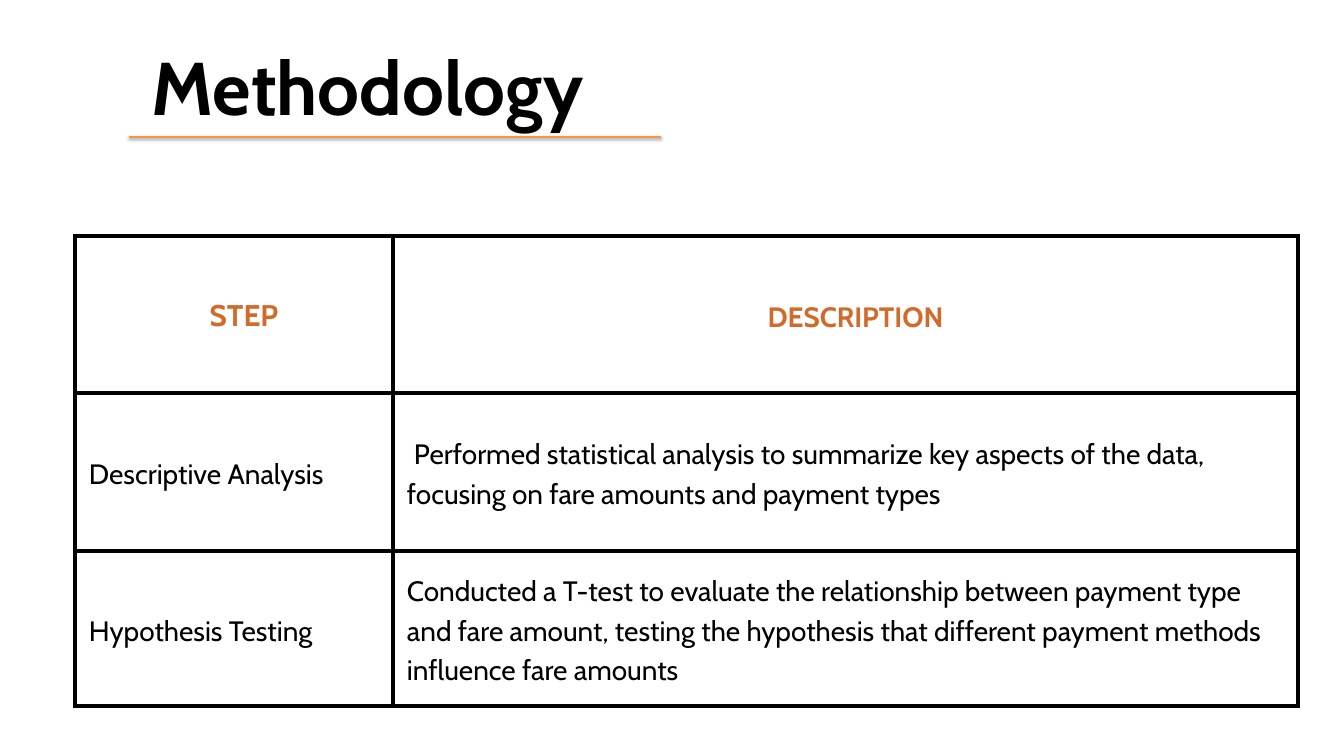
from lxml.etree import SubElement
from pptx import Presentation
from pptx.dml.color import RGBColor
from pptx.enum.shapes import MSO_CONNECTOR as Connector
from pptx.enum.text import MSO_ANCHOR as Anchor, MSO_AUTO_SIZE as AutoSize, PP_ALIGN as Align
from pptx.oxml import parse_xml
from pptx.oxml.ns import nsdecls, qn
from pptx.util import Emu, Pt

BLACK = RGBColor(0x00, 0x00, 0x00)
RUST = RGBColor(0xD1, 0x6A, 0x2B)
ORANGE = RGBColor(0xF7, 0x96, 0x46)

FONT = "Cabin"
EMU_PER_PX = 914400 / 67.2
CELL_MARGIN = 14
HEADER_SHIFT = 20

TITLE = {"size": 80, "bold": True, "color": BLACK, "spacing": 112, "align": Align.CENTER}
BODY = {"size": 30, "bold": False, "color": BLACK, "spacing": 42, "align": Align.LEFT}
HEADER = BODY | {"bold": True, "color": RUST, "align": Align.CENTER, "shift": HEADER_SHIFT}

ROWS = [
    [("STEP", HEADER | {"size": 32}), ("DESCRIPTION", HEADER)],
    [
        ("Descriptive Analysis", BODY),
        (
            "Performed statistical analysis to summarize key aspects of the data, "
            "focusing on fare amounts and payment types",
            BODY | {"indent": 7},
        ),
    ],
    [
        ("Hypothesis Testing", BODY),
        (
            "Conducted a T-test to evaluate the relationship between payment type "
            "and fare amount, testing the hypothesis that different payment methods "
            "influence fare amounts",
            BODY,
        ),
    ],
]


def px(value):
    return Emu(round(value * EMU_PER_PX))


def apply(target, values):
    for name, value in values.items():
        setattr(target, name, value)


class SlideBuilder:
    def __init__(self, width, height):
        self.presentation = Presentation()
        apply(self.presentation, {"slide_width": px(width), "slide_height": px(height)})
        self.slide = self.presentation.slides.add_slide(self.presentation.slide_layouts[5])

    def fill_text(self, frame, text, style):
        paragraph = frame.paragraphs[0]
        apply(paragraph, {"alignment": style["align"], "line_spacing": Pt(style["spacing"])})
        if "indent" in style:
            paragraph._p.get_or_add_pPr().set("indent", str(px(style["indent"])))
        run = paragraph.add_run()
        run.text = text
        apply(run.font, {"name": FONT, "size": Pt(style["size"]), "bold": style["bold"]})
        run.font.color.rgb = style["color"]

    def title(self, text, left, top, width, height):
        shape = self.slide.shapes.title
        apply(shape, {"left": px(left), "top": px(top), "width": px(width), "height": px(height)})
        frame = shape.text_frame
        apply(frame, {
            "margin_left": 0, "margin_right": 0, "margin_top": 0, "margin_bottom": 0,
            "vertical_anchor": Anchor.TOP, "word_wrap": True,
            "auto_size": AutoSize.SHAPE_TO_FIT_TEXT,
        })
        self.fill_text(frame, text, TITLE)

    def underline(self, left, right, y):
        line = self.slide.shapes.add_connector(Connector.STRAIGHT, px(left), px(y), px(right), px(y))
        line.line.color.rgb = ORANGE
        line.line.width = Pt(3)
        line._element.spPr.append(parse_xml(
            f'<a:effectLst {nsdecls("a")}>'
            f'<a:outerShdw blurRad="{Pt(3.1)}" dist="{Pt(1.8)}" dir="5400000" rotWithShape="0">'
            '<a:srgbClr val="000000"><a:alpha val="35000"/></a:srgbClr>'
            '</a:outerShdw></a:effectLst>'
        ))

    def border(self, cell):
        properties = cell._tc.get_or_add_tcPr()
        for side in ("lnL", "lnR", "lnT", "lnB"):
            line = SubElement(properties, qn(f"a:{side}"), w=str(Pt(3.75)))
            fill = SubElement(line, qn("a:solidFill"))
            SubElement(fill, qn("a:srgbClr"), val=str(BLACK))

    def table(self, left, top, widths, heights, rows):
        table = self.slide.shapes.add_table(
            len(heights), len(widths), px(left), px(top), px(sum(widths)), px(sum(heights))
        ).table
        apply(table, {"first_row": False, "horz_banding": False})
        for column, width in zip(table.columns, widths):
            column.width = px(width)
        for row, height, contents in zip(table.rows, heights, rows):
            row.height = px(height)
            for cell, (text, style) in zip(row.cells, contents):
                margin = px(CELL_MARGIN)
                apply(cell, {
                    "margin_left": px(CELL_MARGIN + style.get("shift", 0)),
                    "margin_right": margin, "margin_top": margin, "margin_bottom": margin,
                    "vertical_anchor": Anchor.MIDDLE,
                })
                self.border(cell)
                cell.fill.background()
                self.fill_text(cell.text_frame, text, style)


def main():
    builder = SlideBuilder(1344, 756)
    builder.table(75, 236, [318, 905], [157, 158, 155], ROWS)
    builder.title("Methodology", 75, 26, 585, 101)
    builder.underline(129, 661, 137)
    builder.presentation.save("out.pptx")


if __name__ == "__main__":
    main()
